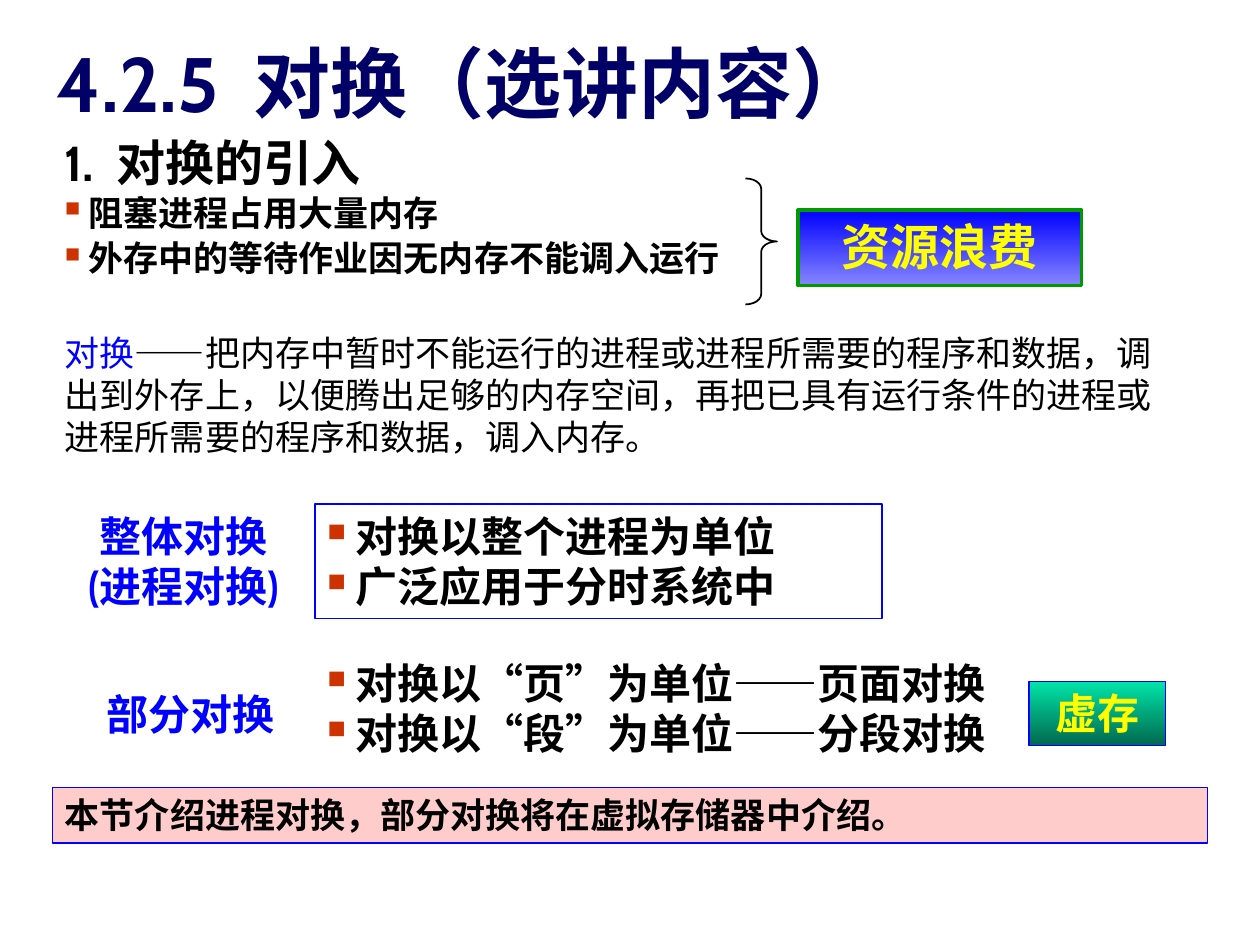
from dataclasses import dataclass
from itertools import groupby

import lxml.etree
import pptx
import pptx.dml.color
import pptx.enum.shapes
import pptx.enum.text
import pptx.oxml.ns
import pptx.util

SHAPES = pptx.enum.shapes.MSO_SHAPE
ALIGN = pptx.enum.text.PP_ALIGN


@dataclass(frozen=True)
class Theme:
    font: str = "Cabin"
    punctuation_font: str = "Times New Roman"
    punctuation: str = "“”—"
    navy: str = "000066"
    black: str = "000000"
    blue: str = "0000FF"
    yellow: str = "FFFF00"
    green: str = "009900"
    pink: str = "FFCCCC"
    bullet: str = "CC3300"
    waste_gradient: tuple = ("0000FF", "8686FF")
    memory_gradient: tuple = ("00E4A8", "00694E")
    title: int = 44
    heading: int = 28
    point: int = 24
    body: int = 20


def rgb(value):
    return pptx.dml.color.RGBColor.from_string(value)


class SlideBuilder:
    columns, rows = 120, 90

    def __init__(self, presentation, theme):
        self.theme = theme
        self.slide = presentation.slides.add_slide(presentation.slide_layouts[6])
        self.column = presentation.slide_width / self.columns
        self.row = presentation.slide_height / self.rows

    def place(self, left, top, width, height):
        return [int(value) for value in (left * self.column, top * self.row,
                                         width * self.column, height * self.row)]

    def shape(self, kind, area, fill=None, line=None, weight=0.75):
        shape = self.slide.shapes.add_shape(kind, *self.place(*area))
        shape.shadow.inherit = False
        if isinstance(fill, tuple):
            shape.fill.gradient()
            shape.fill.gradient_angle = 270
            for stop, position, color in zip(shape.fill.gradient_stops, (0, 1), fill):
                stop.position = position
                stop.color.rgb = rgb(color)
        elif fill:
            shape.fill.solid()
            shape.fill.fore_color.rgb = rgb(fill)
        else:
            shape.fill.background()
        shape.line.color.rgb = rgb(line)
        shape.line.width = pptx.util.Pt(weight)
        return shape

    def box(self, area, lines, **style):
        self.fill_text(self.slide.shapes.add_textbox(*self.place(*area)), lines, **style)

    def panel(self, area, lines, fill=None, line=None, weight=0.75, **style):
        self.fill_text(self.shape(SHAPES.RECTANGLE, area, fill, line, weight), lines, **style)

    def fill_text(self, shape, lines, **style):
        frame = shape.text_frame
        settings = {"word_wrap": True,
                    "auto_size": pptx.enum.text.MSO_AUTO_SIZE.NONE,
                    "vertical_anchor": pptx.enum.text.MSO_ANCHOR.TOP}
        for name, value in settings.items():
            setattr(frame, name, value)
        for index, line in enumerate(lines):
            paragraph = frame.paragraphs[0] if index == 0 else frame.add_paragraph()
            content = {"text": line} if isinstance(line, str) else line
            self.fill_paragraph(paragraph, **{**style, **content})

    def fill_paragraph(self, paragraph, text, size, color=None, bold=True,
                       bullet=False, align=ALIGN.LEFT, before=0, lead=""):
        color = color or self.theme.black
        paragraph.alignment = align
        if bullet:
            self.add_bullet(paragraph)
        if before:
            paragraph.space_before = pptx.util.Pt(before)
        for part, part_color in ((lead, self.theme.blue), (text, color)):
            for special, letters in groupby(part, lambda letter: letter in self.theme.punctuation):
                run = paragraph.add_run()
                run.text = "".join(letters)
                formats = {"name": self.theme.punctuation_font if special else self.theme.font,
                           "size": pptx.util.Pt(size), "bold": bold}
                for name, value in formats.items():
                    setattr(run.font, name, value)
                run.font.color.rgb = rgb(part_color)

    def add_bullet(self, paragraph):
        properties = paragraph._p.get_or_add_pPr()
        qualify = pptx.oxml.ns.qn
        color = lxml.etree.SubElement(properties, qualify("a:buClr"))
        lxml.etree.SubElement(color, qualify("a:srgbClr"), val=self.theme.bullet)
        lxml.etree.SubElement(properties, qualify("a:buSzPct"), val="60000")
        lxml.etree.SubElement(properties, qualify("a:buChar"), char="■")


def main():
    presentation = pptx.Presentation()
    presentation.slide_width = pptx.util.Inches(10)
    presentation.slide_height = pptx.util.Inches(7.5)
    theme = Theme()
    builder = SlideBuilder(presentation, theme)

    builder.box((4.2, 2.8, 113, 9), ["4.2.5  对换（选讲内容）"],
                size=theme.title, color=theme.navy)
    builder.box((5, 12, 67, 17.2),
                [{"text": "1.  对换的引入", "size": theme.heading, "bullet": False},
                 " 阻塞进程占用大量内存",
                 {"text": " 外存中的等待作业因无内存不能调入运行", "before": 2}],
                size=theme.body, bullet=True)
    brace = builder.shape(SHAPES.RIGHT_BRACE, (71, 17, 3, 12), line=theme.black, weight=1)
    brace.adjustments[0] = 0.33
    builder.panel((76, 20, 27, 7.2), ["资源浪费"], theme.waste_gradient, theme.green, 2.25,
                  size=theme.heading, color=theme.yellow, align=ALIGN.CENTER)

    builder.box((5, 31, 109, 13.2),
                [{"lead": "对换",
                  "text": "——把内存中暂时不能运行的进程或进程所需要的程序和数据，调出到外存上，"
                          "以便腾出足够的内存空间，再把已具有运行条件的进程或进程所需要的程序和数据，调入内存。"}],
                size=theme.body, bold=False)

    builder.box((6, 48, 23, 10.8), ["整体对换", "(进程对换)"],
                size=theme.point, color=theme.blue, align=ALIGN.CENTER)
    builder.panel((30, 48, 54, 10.9), [" 对换以整个进程为单位", " 广泛应用于分时系统中"],
                  line=theme.blue, size=theme.point, bullet=True)

    builder.box((9, 65, 20, 6), ["部分对换"], size=theme.point, color=theme.blue)
    units = (("页", "页面"), ("段", "分段"))
    builder.box((30, 62, 81, 10.8),
                [f" 对换以“{unit}”为单位——{name}对换" for unit, name in units],
                size=theme.point, bullet=True)
    builder.panel((98, 64.9, 13, 6.1), ["虚存"], theme.memory_gradient, theme.blue,
                  size=theme.point, color=theme.yellow, align=ALIGN.CENTER)

    builder.panel((5, 75, 110, 5.3), ["本节介绍进程对换，部分对换将在虚拟存储器中介绍。"],
                  theme.pink, theme.blue, size=theme.body)
    presentation.save("out.pptx")


if __name__ == "__main__":
    main()
